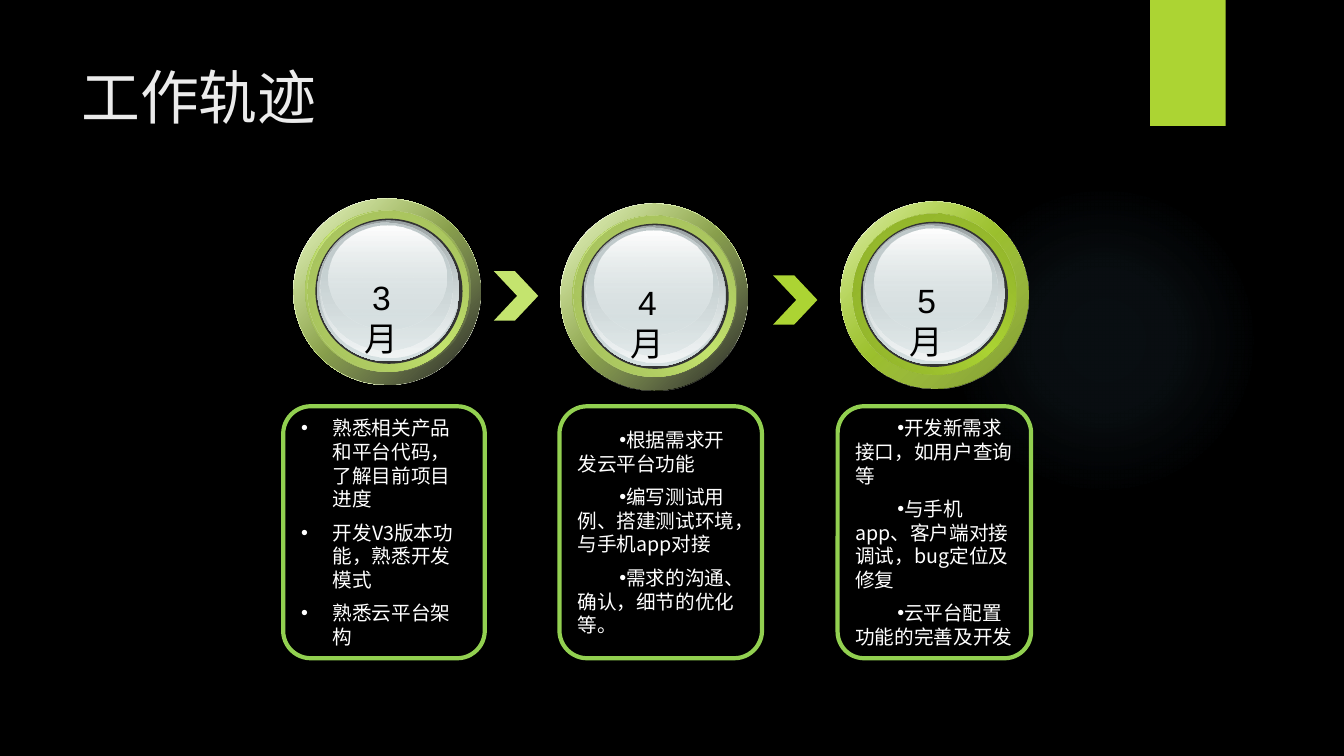
import pptx
import pptx.util
import pptx.dml.color
import pptx.enum.shapes
import pptx.enum.text
import pptx.oxml
import pptx.oxml.ns

Pt = pptx.util.Pt
RGB = pptx.dml.color.RGBColor
SHAPE = pptx.enum.shapes.MSO_SHAPE
ANCHOR = pptx.enum.text.MSO_ANCHOR
ALIGN = pptx.enum.text.PP_ALIGN

BLACK = RGB(0x00, 0x00, 0x00)
WHITE = RGB(0xFF, 0xFF, 0xFF)
TITLE_GREY = RGB(0xEB, 0xEB, 0xEB)
GLOW_BLUE = RGB(0x7A, 0xC4, 0xF0)
GREEN = RGB(0xAC, 0xD4, 0x33)
DEEP_GREEN = RGB(0x7B, 0x98, 0x24)
RIM_GREEN = RGB(0x84, 0xA2, 0x27)
BEVEL_GREEN = RGB(0x8D, 0xAE, 0x2A)
LIME = RGB(0xC4, 0xE4, 0x6E)
RIM_LIME = RGB(0x96, 0xAF, 0x54)
BEVEL_LIME = RGB(0xA1, 0xBB, 0x5A)
BORDER_GREEN = RGB(0x92, 0xD0, 0x50)
DARK = RGB(0x33, 0x33, 0x33)
STEEL = RGB(0x99, 0xA1, 0xA2)
SILVER = RGB(0xD6, 0xE1, 0xE2)
PEARL = RGB(0xF2, 0xF5, 0xF5)
MIST = RGB(0xC1, 0xCB, 0xCC)
CJK = "Noto Sans CJK SC"


def add_figure(parent, kind, place, fill=None, angle=None):
    """Fill is None, a colour, or gradient stops (position, colour, opacity); no angle means radial."""
    figure = parent.add_shape(kind, *[Pt(length) for length in place])
    figure.shadow.inherit = False
    figure.line.fill.background()
    figure.fill.background()
    if isinstance(fill, RGB):
        figure.fill.solid()
        figure.fill.fore_color.rgb = fill
    elif fill:
        stops = "".join(
            f'<a:gs pos="{position * 1000}"><a:srgbClr val="{color}">'
            f'<a:alpha val="{opacity * 1000}"/></a:srgbClr></a:gs>'
            for position, color, opacity in fill)
        if angle is None:
            direction = ('<a:path path="circle"><a:fillToRect l="50000" t="50000" '
                         'r="50000" b="50000"/></a:path>')
        else:
            direction = f'<a:lin ang="{angle * 60000}" scaled="0"/>'
        gradient = pptx.oxml.parse_xml(
            f'<a:gradFill {pptx.oxml.ns.nsdecls("a")} rotWithShape="1">'
            f'<a:gsLst>{stops}</a:gsLst>{direction}</a:gradFill>')
        no_fill = figure._element.spPr.find(pptx.oxml.ns.qn("a:noFill"))
        no_fill.getparent().replace(no_fill, gradient)
    return figure


def write(para, text, size, color, font, layout):
    for name, value in layout.items():
        setattr(para, name, value)
    span = para.add_run()
    span.text = text
    for name, value in {"size": Pt(size), "name": font}.items():
        setattr(span.font, name, value)
    span.font.color.rgb = color
    east_asian = span._r.get_or_add_rPr().makeelement(pptx.oxml.ns.qn("a:ea"), {"typeface": CJK})
    span.font._element.append(east_asian)


deck = pptx.Presentation()
deck.slide_width, deck.slide_height = Pt(960), Pt(540)
page = deck.slides.add_slide(deck.slide_layouts[6])
page.background.fill.solid()
page.background.fill.fore_color.rgb = BLACK

# Backdrop: faint glow and green tab
add_figure(page.shapes, SHAPE.OVAL, (677.5, 131.8, 221.8, 221.8),
           [(0, GLOW_BLUE, 7), (36, GLOW_BLUE, 6), (69, GLOW_BLUE, 0)])
add_figure(page.shapes, SHAPE.RECTANGLE, (821.5, 0, 54, 90), GREEN)

# Title
title = page.shapes.add_textbox(Pt(51), Pt(36), Pt(741), Pt(110))
title.text_frame.word_wrap = True
write(title.text_frame.paragraphs[0], "工作轨迹", 42, TITLE_GREY, CJK,
      {"line_spacing": Pt(54)})

# Task boxes: left, width, paragraph margin, first-line indent, items
HANGING, INDENTED = (22.5, -22.5), (0, 30)
tasks = [
    (202.3, 144, HANGING, ["熟悉相关产品和平台代码，了解目前项目进度",
                           "开发V3版本功能，熟悉开发模式", "熟悉云平台架构"]),
    (399.6, 144.7, INDENTED, ["根据需求开发云平台功能",
                              "编写测试用例、搭建测试环境，与手机app对接",
                              "需求的沟通、确认，细节的优化等。"]),
    (598.3, 138.2, INDENTED, ["开发新需求接口，如用户查询等",
                              "与手机app、客户端对接调试，bug定位及修复",
                              "云平台配置功能的完善及开发"]),
]
for left, width, (margin, indent), items in tasks:
    box = add_figure(page.shapes, SHAPE.ROUNDED_RECTANGLE, (left, 290.2, width, 180))
    box.adjustments[0] = 0.137
    box.line.color.rgb = BORDER_GREEN
    box.line.width = Pt(3)
    frame = box.text_frame
    frame.word_wrap = True
    frame.vertical_anchor = ANCHOR.MIDDLE
    for index, item in enumerate(items):
        para = frame.paragraphs[0] if index == 0 else frame.add_paragraph()
        write(para, item, 14, WHITE, CJK, {
            "alignment": ALIGN.LEFT, "line_spacing": Pt(16.9), "space_before": Pt(7)})
        properties = para._p.get_or_add_pPr()
        properties.set("marL", str(Pt(margin)))
        properties.set("indent", str(Pt(indent)))
        for tag, key, value in (("a:buFont", "typeface", "Arial"), ("a:buChar", "char", "•")):
            properties.append(properties.makeelement(pptx.oxml.ns.qn(tag), {key: value}))

# Chevrons between the dials
for left, top, color in ((352.8, 193.7, LIME), (552.2, 196.6, GREEN)):
    chevron = add_figure(page.shapes, SHAPE.CHEVRON, (left, top, 31.7, 35.3), color)
    chevron.adjustments[0] = 0.525

# Month dials: label, left, top, shift of the inner layers, tint, rim, bevel, shade
dials = [
    ("3月", 209.5, 141.8, 1.4, LIME, RIM_LIME, BEVEL_LIME, (100, BLACK, 90)),
    ("4月", 400.3, 145.4, 0.7, LIME, RIM_LIME, BEVEL_LIME, (100, BLACK, 90)),
    ("5月", 600.5, 144, 0, GREEN, RIM_GREEN, BEVEL_GREEN, (100, DEEP_GREEN, 100)),
]
for label, left, top, shift, tint, rim, bevel, shade in dials:
    dial = page.shapes.add_group_shape()
    # Layers: x, y, width, height, fill, angle
    layers = [
        (0, 0, 133.9, 133.2, [(0, WHITE, 100), (50, tint, 100), (100, WHITE, 100)], 45),
        (0, 0, 133.9, 133.2, [(0, tint, 32), shade], 45),
        (8.6, 8.6, 116.6, 115.2, [(0, rim, 100), (50, tint, 100), (100, rim, 100)], 315),
        (8.6 + shift, 8.6, 116.6, 115.2, [(0, bevel, 100), (100, tint, 0)], 45),
        (14.4 + shift, 14.4, 105.1, 103.7, DARK, None),
        (15.8 + shift, 15.5, 101.5, 100.8, [(0, STEEL, 100), (100, SILVER, 100)], 90),
        (17.3 + shift, 15.8, 99.4, 97.9, [(0, SILVER, 0), (100, PEARL, 100)], 90),
        (18 + shift, 17.3, 94.3, 91.4, [(0, MIST, 100), (100, SILVER, 48)], 90),
        (23.8 + shift, 19.4, 84, 74.2, [(0, WHITE, 100), (100, SILVER, 38)], 90),
    ]
    for x, y, width, height, fill, angle in layers:
        add_figure(dial.shapes, SHAPE.OVAL, (left + x, top + y, width, height), fill, angle)
    month = dial.shapes.add_textbox(Pt(left + 35.2 + shift), Pt(top + 52.6), Pt(52.6), Pt(36))
    for name, value in {"word_wrap": True, "margin_left": Pt(9), "margin_right": Pt(9)}.items():
        setattr(month.text_frame, name, value)
    write(month.text_frame.paragraphs[0], label, 24, BLACK, "Arial", {"alignment": ALIGN.CENTER})

deck.save("out.pptx")
